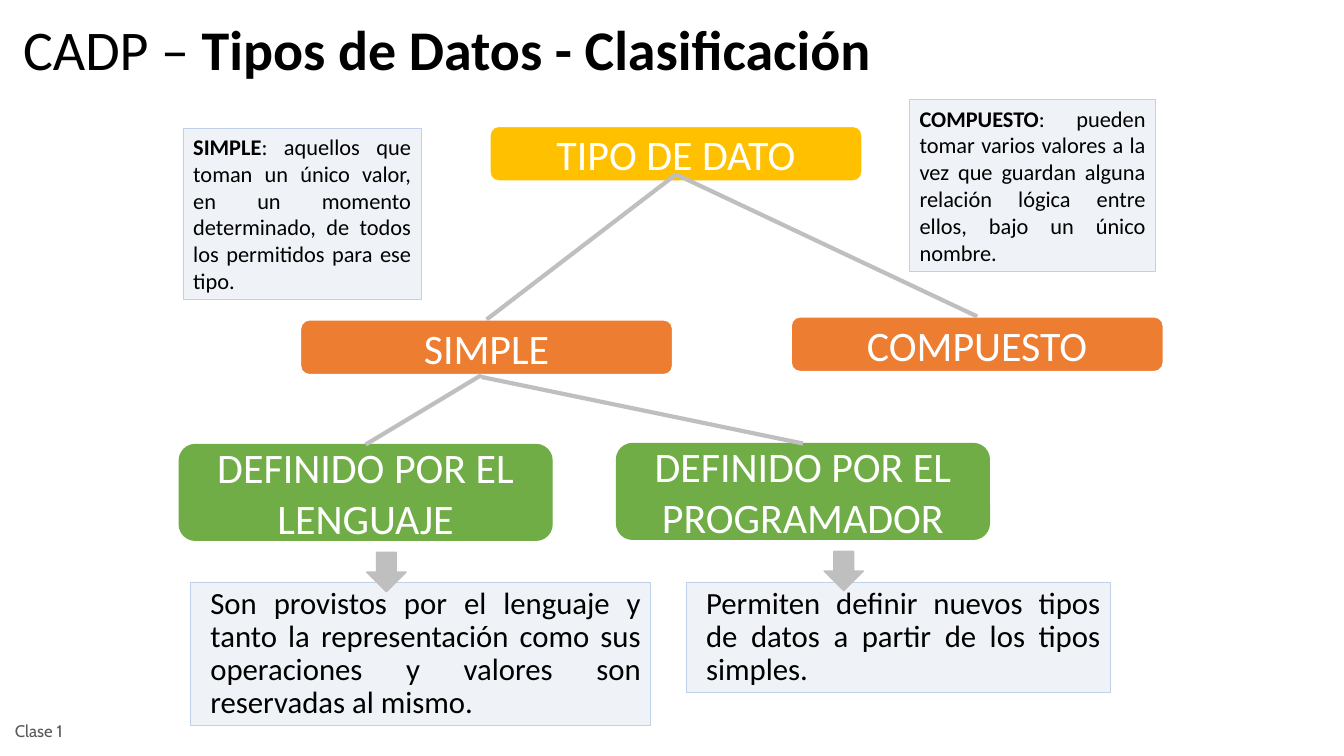
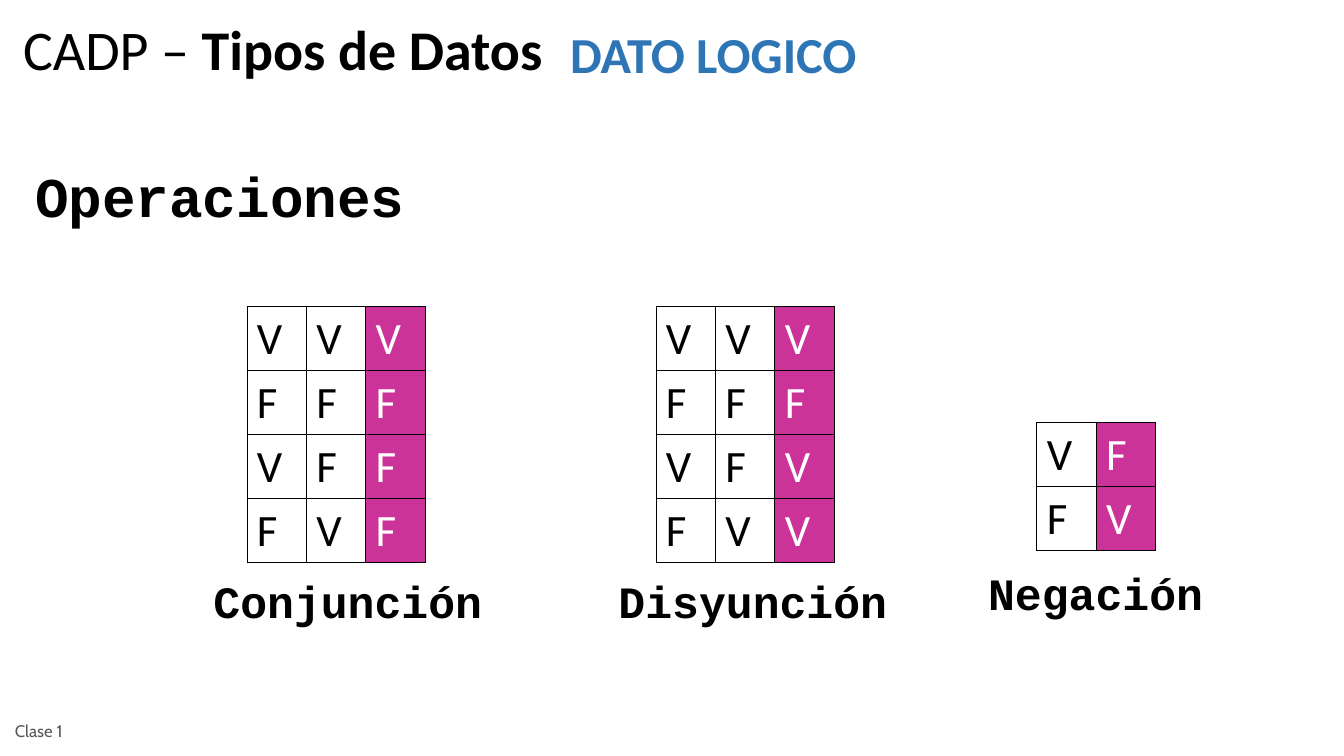
from lxml.etree import SubElement
from pptx import Presentation
from pptx.dml.color import RGBColor
from pptx.enum.shapes import MSO_CONNECTOR, MSO_SHAPE
from pptx.enum.text import MSO_ANCHOR, MSO_AUTO_SIZE, PP_ALIGN
from pptx.oxml.ns import qn
from pptx.util import Inches, Pt

BODY_FONT, CODE_FONT, FOOTER_FONT = "Calibri", "Courier New", "Cabin"
BLACK, WHITE, GRAY, DARK_GRAY = "000000", "FFFFFF", "BFBFBF", "595959"
YELLOW, ORANGE, GREEN = "FFC000", "ED7D31", "70AD47"
BLUE, MAGENTA = "2E75B6", "CC3399"
NOTE_FILL, NOTE_LINE = "EFF3F7", "C1D0E9"
CELL_WIDTH, CELL_HEIGHT = 0.59, 0.635


def color(hex_value):
    return RGBColor.from_string(hex_value)


def inches(*lengths):
    return [Inches(length) for length in lengths]


def write(frame, spans, size, hex_value=BLACK, font=BODY_FONT,
          align=PP_ALIGN.LEFT):
    """Fill the first paragraph with (text, bold) spans and return it."""
    para = frame.paragraphs[0]
    para.alignment = align
    for text, bold in spans:
        span = para.add_run()
        span.text = text
        span.font.name = font
        span.font.size = Pt(size)
        span.font.bold = bold
        span.font.color.rgb = color(hex_value)
    return para


def add_label(page, at, text, size, hex_value=BLACK, font=CODE_FONT,
              bold=True, align=PP_ALIGN.JUSTIFY, anchor=MSO_ANCHOR.TOP):
    frame = page.shapes.add_textbox(*inches(*at)).text_frame
    frame.word_wrap = True
    frame.vertical_anchor = anchor
    write(frame, [(text, bold)], size, hex_value, font, align)


def add_page(deck, title_end, title_width):
    """Add a page with the shared title style and footer."""
    page = deck.slides.add_slide(deck.slide_layouts[5])
    title = page.shapes.title
    title.left, title.top, title.width, title.height = inches(
        0.13, 0.14, title_width, 0.76)
    frame = title.text_frame
    frame.auto_size = MSO_AUTO_SIZE.NONE
    frame.vertical_anchor = MSO_ANCHOR.MIDDLE
    para = write(frame, [("CADP – ", False), (title_end, True)], 40)
    para.line_spacing = 0.9
    add_label(page, (0.05, 7.05, 2.33, 0.4), "Clase 1", 12, DARK_GRAY,
              FOOTER_FONT, False, PP_ALIGN.LEFT, MSO_ANCHOR.MIDDLE)
    return page


def add_box(page, kind, at, fill, line, line_width):
    box = page.shapes.add_shape(kind, *inches(*at))
    box.shadow.inherit = False
    box.fill.solid()
    box.fill.fore_color.rgb = color(fill)
    box.line.color.rgb = color(line)
    box.line.width = Pt(line_width)
    return box


def add_node(page, left, top, height, text, fill, line=WHITE, line_width=1.5):
    box = add_box(page, MSO_SHAPE.ROUNDED_RECTANGLE, (left, top, 3.7, height),
                  fill, line, line_width)
    write(box.text_frame, [(text, False)], 30, WHITE, align=PP_ALIGN.CENTER)
    return box


def add_branch(page, start, node):
    """Draw a line from a point to the top of a node."""
    branch = page.shapes.add_connector(
        MSO_CONNECTOR.STRAIGHT, *inches(*start), *inches(*start))
    branch.end_connect(node, 0)
    branch.line.color.rgb = color(GRAY)
    branch.line.width = Pt(3)
    SubElement(branch.element.spPr, qn("a:effectLst"))


def add_note(page, at, spans, size, space_before):
    box = add_box(page, MSO_SHAPE.RECTANGLE, at, NOTE_FILL, NOTE_LINE, 0.5)
    box.text_frame.vertical_anchor = MSO_ANCHOR.TOP
    para = write(box.text_frame, spans, size, align=PP_ALIGN.JUSTIFY)
    para.space_before = Pt(space_before)
    return para


def add_explanation(page, at, text, arrow_left, arrow_top):
    """Add an indented note with an arrow pointing down into it."""
    para = add_note(page, at, [(text, False)], 22, 5.5)
    para.line_spacing = 0.9
    para._p.get_or_add_pPr().set("marL", str(Inches(0.1)))
    add_box(page, MSO_SHAPE.DOWN_ARROW, (arrow_left, arrow_top, 0.39, 0.39),
            GRAY, GRAY, 1)


def add_cell_borders(cell):
    properties = cell._tc.get_or_add_tcPr()
    for side in ("lnL", "lnR", "lnT", "lnB"):
        border = SubElement(properties, qn(f"a:{side}"), w=str(Pt(0.45)))
        fill = SubElement(border, qn("a:solidFill"))
        SubElement(fill, qn("a:srgbClr"), val=BLACK)


def add_truth_table(page, left, top, rows):
    """Add a table of one letter per cell, its last column highlighted."""
    last = len(rows[0]) - 1
    table = page.shapes.add_table(
        len(rows), last + 1, *inches(left, top, CELL_WIDTH * (last + 1),
                                     CELL_HEIGHT * len(rows))).table
    table.first_row = table.horz_banding = False
    for row_index, letters in enumerate(rows):
        for column, letter in enumerate(letters):
            cell = table.cell(row_index, column)
            add_cell_borders(cell)
            if column == last:
                cell.fill.solid()
                cell.fill.fore_color.rgb = color(MAGENTA)
            else:
                cell.fill.background()
            write(cell.text_frame, [(letter, False)], 32,
                  WHITE if column == last else BLACK)


def build_classification(deck):
    page = add_page(deck, "Tipos de Datos - Clasificación", 9.92)
    add_node(page, 4.86, 1.25, 0.55, "TIPO DE DATO", YELLOW)
    simple = add_node(page, 2.98, 3.17, 0.55, "SIMPLE", ORANGE)
    compound = add_node(page, 7.85, 3.14, 0.55, "COMPUESTO", ORANGE)
    language = add_node(page, 1.78, 4.41, 0.95, "DEFINIDO POR EL LENGUAJE",
                        GREEN, GREEN, 1)
    programmer = add_node(page, 6.12, 4.4, 0.95, "DEFINIDO POR EL PROGRAMADOR",
                          GREEN, GREEN, 1)
    for start, node in (((6.71, 1.73), simple), ((6.71, 1.73), compound),
                        ((4.78, 3.72), language), ((4.78, 3.74), programmer)):
        add_branch(page, start, node)

    add_explanation(
        page, (1.89, 5.78, 4.57, 1.42),
        "Son provistos por el lenguaje y tanto la representación como sus "
        "operaciones y valores son reservadas al mismo.", 3.64, 5.48)
    add_explanation(
        page, (6.81, 5.78, 4.21, 1.09),
        "Permiten definir nuevos tipos de datos a partir de los tipos "
        "simples.", 8.18, 5.47)
    for at, term, meaning in (
            ((1.82, 1.27, 2.36, 1.7), "SIMPLE",
             ": aquellos que toman un único valor, en un momento determinado, "
             "de todos los permitidos para ese tipo."),
            ((9.03, 0.99, 2.44, 1.7), "COMPUESTO",
             ": pueden tomar varios valores a la vez que guardan alguna "
             "relación lógica entre ellos, bajo un único nombre.")):
        add_note(page, at, [(term, True), (meaning, False)], 16, 10)


def build_logic(deck):
    page = add_page(deck, "Tipos de Datos", 7.8)
    add_label(page, (5.56, 0.18, 6.51, 0.7), "DATO LOGICO", 36, BLUE, BODY_FONT)
    add_label(page, (0.25, 1.55, 4.25, 0.77), "Operaciones", 40)
    for left, top, rows, label_at, name in (
            (2.45, 3.04, ("VVV", "FFF", "VFF", "FVF"),
             (2.02, 5.64, 3.23, 0.64), "Conjunción"),
            (6.51, 3.04, ("VVV", "FFF", "VFV", "FVV"),
             (6.04, 5.64, 3.23, 0.64), "Disyunción"),
            (10.29, 4.19, ("VF", "FV"),
             (9.71, 5.56, 2.36, 0.64), "Negación")):
        add_truth_table(page, left, top, rows)
        add_label(page, label_at, name, 32)


def main():
    deck = Presentation()
    deck.slide_width, deck.slide_height = inches(13.34, 7.5)
    build_classification(deck)
    build_logic(deck)
    deck.save("out.pptx")


if __name__ == "__main__":
    main()
